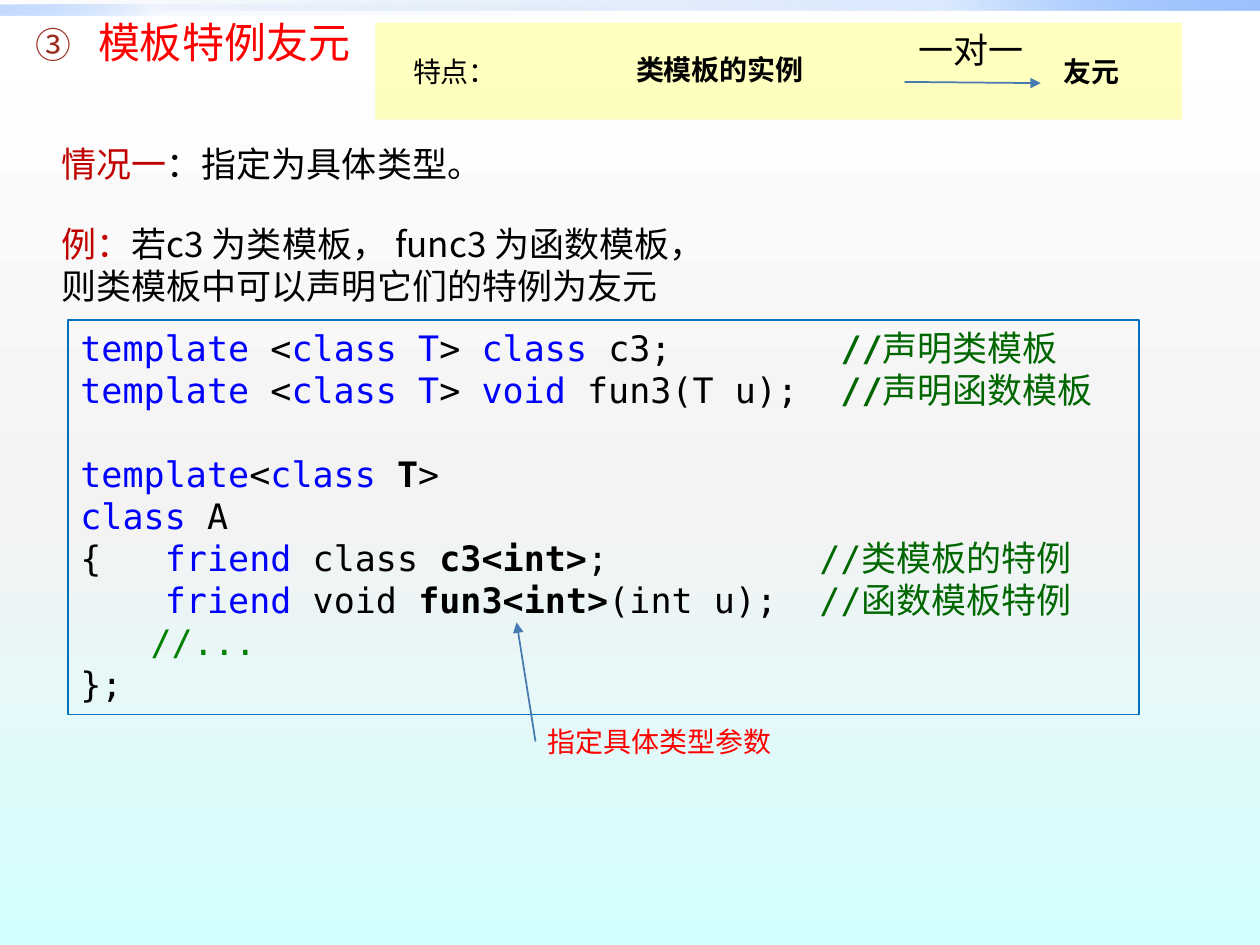
"""Build the slide on friend declarations for template specialisations."""
from dataclasses import dataclass
from typing import Optional

from lxml import etree
from pptx import Presentation
from pptx import util as u
from pptx.dml.color import RGBColor
from pptx.enum import shapes, text
from pptx.oxml import ns

WIDTH, HEIGHT = u.Inches(10), u.Inches(7.5)
COLUMNS, ROWS = 100, 75
BLACK, BLUE, RED, BRICK, GREEN = "000000", "0000FF", "FF0000", "C00000", "006600"
ARROW_BLUE = "477AB1"
ROUND, SANS, CJK, MONO = "Comic Neue", "Lato", "Noto Sans CJK SC", "DejaVu Sans Mono"


@dataclass(frozen=True)
class Area:
    """A place on the grid: column, row, columns wide, rows high."""
    column: float
    row: float
    wide: float
    high: float

    def emu(self) -> tuple:
        return x(self.column), y(self.row), x(self.wide), y(self.high)


@dataclass(frozen=True)
class Span:
    """A stretch of text in one colour and weight."""
    words: str
    color: str = BLACK
    bold: bool = False


@dataclass(frozen=True)
class Label:
    """A text box whose lines share one font."""
    area: Area
    lines: tuple
    font: str
    size: int
    indent: float = 0
    spacing: Optional[float] = None


@dataclass(frozen=True)
class Stop:
    """A gradient stop; place and opacity in per cent."""
    place: int
    color: str
    opacity: int = 100


TITLE = Label(Area(-1.7, 0.8, 93.7, 10.9), ((Span("模板特例友元", RED),),), ROUND, 24, 8.5)
PARAMETER = Label(Area(42.5, 57, 21.7, 3.7), ((Span("指定具体类型参数", RED),),), SANS, 16)
LABELS = (
    Label(Area(0.4, 17.2, 69.2, 7.7),
          ((Span("例：", BRICK), Span("若c3 为类模板， func3 为函数模板，")),
           (Span("则类模板中可以声明它们的特例为友元"),)), CJK, 20, 3.5),
    Label(Area(28.3, 2.5, 66.9, 7.1), ((Span("特点："),),), ROUND, 16, 3.5, 1.5),
    Label(Area(49.5, 3.7, 22.3, 5), ((Span("类模板的实例", bold=True),),), ROUND, 16),
    Label(Area(79.9, 2.5, 12.3, 7.1), ((Span("友元", bold=True),),), ROUND, 16, 3.5, 1.5),
    Label(Area(71.9, 1.8, 16.8, 4.4), ((Span("一对一"),),), SANS, 20),
    Label(Area(0.4, 10.8, 45, 4.4),
          ((Span("情况一", BRICK), Span("：指定为具体类型。")),), ROUND, 20, 3.5),
)
CODE_AREA = Area(5.4, 25.4, 85, 31.3)
CODE_SIZE = 20
CLASS_START = 2
CODE = (
    (Span("template ", BLUE), Span("<"), Span("class T", BLUE), Span(">"),
     Span(" class ", BLUE), Span("c3;        "), Span("//", GREEN, True),
     Span("声明类模板", GREEN)),
    (Span("template", BLUE), Span(" <"), Span("class T", BLUE), Span("> "),
     Span("void", BLUE), Span(" fun3(T u);  "), Span("//", GREEN, True),
     Span("声明函数模板", GREEN)),
    (Span("template", BLUE), Span("<"), Span("class", BLUE), Span(" T", bold=True), Span(">")),
    (Span("class", BLUE), Span(" A")),
    (Span("{   "), Span("friend", BLUE), Span(" class "), Span("c3<int>", bold=True),
     Span(";          "), Span("//类模板的特例", GREEN)),
    (Span("    "), Span("friend", BLUE), Span(" void "), Span("fun3<int>", bold=True),
     Span("(int u);  "), Span("//函数模板特例", GREEN)),
    (Span("　　"), Span("//...", "008000")),
    (Span("};"),),
)
BACKDROP = (Stop(0, "FFFFFF"), Stop(55, "F3F3F3"), Stop(100, "D2FFFF"))
BANDS = (
    (Area(0, 0, 100, 0.8), 315,
     (Stop(0, "0058B7", 0), Stop(75, "4F95FF", 20), Stop(100, "9EC2FF"))),
    (Area(0, 0.4, 50, 0.8), 135,
     (Stop(0, "0058B7", 0), Stop(75, "4F95FF", 5), Stop(100, "9EC2FF", 60))),
)


def x(columns: float) -> int:
    """Turn grid columns into a length."""
    return int(WIDTH * columns / COLUMNS)


def y(rows: float) -> int:
    """Turn grid rows into a length."""
    return int(HEIGHT * rows / ROWS)


def paint(color_format, color: str) -> None:
    """Set a fill's, line's or font's colour from a hex string."""
    color_format.rgb = RGBColor.from_string(color)


def add_child(parent, tag: str, **attributes):
    """Append a drawing element with the given attributes."""
    values = {name: str(value) for name, value in attributes.items()}
    return etree.SubElement(parent, ns.qn(tag), values)


def paint_gradient(fill, root, stops: tuple, angle: int) -> None:
    """Give a fill several gradient stops at a clockwise angle."""
    fill.gradient()
    gradient = next(root.iter(ns.qn("a:gradFill")))
    for child in list(gradient):
        gradient.remove(child)
    stop_list = add_child(gradient, "a:gsLst")
    for stop in stops:
        entry = add_child(stop_list, "a:gs", pos=stop.place * 1000)
        color = add_child(entry, "a:srgbClr", val=stop.color)
        add_child(color, "a:alpha", val=stop.opacity * 1000)
    add_child(gradient, "a:lin", ang=angle * 60000, scaled=0)


def add_rectangle(page, area: Area):
    """Add a rectangle without line or shadow."""
    box = page.shapes.add_shape(shapes.MSO_SHAPE.RECTANGLE, *area.emu())
    box.shadow.inherit = False
    box.line.fill.background()
    return box


def write(frame, lines: tuple, font: str, size: int, indent: float = 0,
          spacing: Optional[float] = None) -> None:
    """Fill a text frame with left-aligned lines of spans."""
    frame.word_wrap = True
    frame.vertical_anchor = text.MSO_ANCHOR.TOP
    for index, spans in enumerate(lines):
        para = frame.paragraphs[0] if index == 0 else frame.add_paragraph()
        para.alignment = text.PP_ALIGN.LEFT
        para.line_spacing = spacing or u.Pt(size * 1.2)
        para._p.get_or_add_pPr().set("marL", str(x(indent)))
        para.font.name, para.font.size = font, u.Pt(size)
        for span in spans:
            run = para.add_run()
            run.text = span.words
            run.font.bold = span.bold
            paint(run.font.color, span.color)


def add_label(page, label: Label):
    """Add a text box."""
    box = page.shapes.add_textbox(*label.area.emu())
    write(box.text_frame, label.lines, label.font, label.size, label.indent, label.spacing)
    return box


def number_title(para) -> None:
    """Put a circled three before the title."""
    properties = para._p.get_or_add_pPr()
    properties.set("indent", str(x(-5)))
    color = etree.Element(ns.qn("a:buClr"))
    add_child(color, "a:srgbClr", val="9B2D1F")
    scale = etree.Element(ns.qn("a:buSzPct"), val="85000")
    number = etree.Element(ns.qn("a:buAutoNum"), type="circleNumDbPlain", startAt="3")
    defaults = properties.find(ns.qn("a:defRPr"))
    for element in (color, scale, number):
        defaults.addprevious(element)


def add_arrow(page, start: tuple, end: tuple):
    """Add a thin arrow between two grid points."""
    arrow = page.shapes.add_connector(shapes.MSO_CONNECTOR.STRAIGHT, x(start[0]), y(start[1]),
                                      x(end[0]), y(end[1]))
    paint(arrow.line.color, ARROW_BLUE)
    arrow.line.width = u.Pt(1)
    add_child(arrow.line._get_or_add_ln(), "a:tailEnd", type="triangle")
    add_child(arrow._element.spPr, "a:effectLst")
    return arrow


def main() -> None:
    """Draw the slide and save it."""
    deck = Presentation()
    deck.slide_width, deck.slide_height = WIDTH, HEIGHT
    page = deck.slides.add_slide(deck.slide_layouts[6])
    paint_gradient(page.background.fill, page._element, BACKDROP, 90)
    for area, angle, stops in BANDS:
        band = add_rectangle(page, area)
        paint_gradient(band.fill, band._element, stops, angle)
    number_title(add_label(page, TITLE).text_frame.paragraphs[0])

    code = add_rectangle(page, CODE_AREA)
    code.fill.background()
    paint(code.line.color, "0070C0")
    code.line.width = u.Pt(0.75)
    write(code.text_frame, CODE, MONO, CODE_SIZE)
    code.text_frame.paragraphs[CLASS_START].space_before = u.Pt(CODE_SIZE * 1.2)

    parameter = add_label(page, PARAMETER)
    add_arrow(page, (42.5, 58.9), (41, 49.4)).begin_connect(parameter, 1)
    note = add_rectangle(page, Area(29.8, 1.8, 64, 7.7))
    note.fill.solid()
    paint(note.fill.fore_color, "FFFF00")
    add_child(next(note._element.spPr.iter(ns.qn("a:srgbClr"))), "a:alpha", val=25000)
    for label in LABELS:
        add_label(page, label)
    add_arrow(page, (71.8, 6.5), (82.6, 6.6))
    deck.save("out.pptx")


if __name__ == "__main__":
    main()
